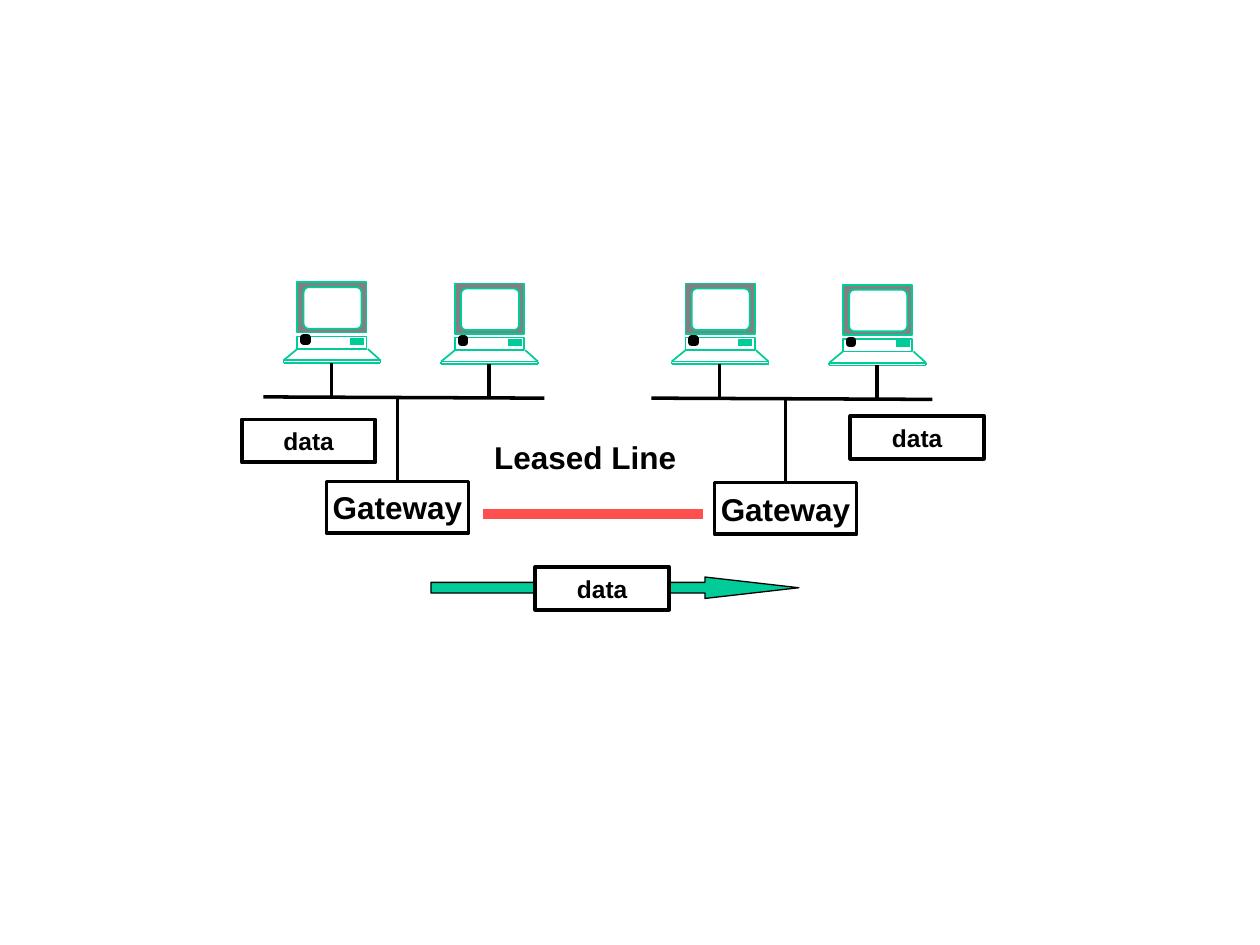
import pptx
import pptx.dml.color
import pptx.enum.shapes
import pptx.enum.text
import pptx.oxml
import pptx.oxml.ns
import pptx.util

COLORS = {"black": "000000", "white": "FFFFFF", "green": "00CC99",
          "gray": "808080", "red": "FF5050"}
SHAPE = pptx.enum.shapes.MSO_SHAPE

prs = pptx.Presentation()
prs.slide_width = pptx.util.Inches(10)
prs.slide_height = pptx.util.Inches(7.5)
s = prs.slides.add_slide(prs.slide_layouts[6])
COL = prs.slide_width / 10
ROW = prs.slide_height / 7.5


def add_box(shapes, kind, x, y, w, h, fill=None, line=None, width=1, text="", size=18):
    """Add a shape at a grid position; no fill or line colour means none is drawn."""
    sp = shapes.add_shape(kind, int(x * COL), int(y * ROW), int(w * COL), int(h * ROW))
    sp.shadow.inherit = False
    if fill:
        sp.fill.solid()
        sp.fill.fore_color.rgb = pptx.dml.color.RGBColor.from_string(COLORS[fill])
    else:
        sp.fill.background()
    if line:
        sp.line.color.rgb = pptx.dml.color.RGBColor.from_string(COLORS[line])
        sp.line.width = pptx.util.Pt(width)
    else:
        sp.line.fill.background()
    if text:
        tf = sp.text_frame
        tf.word_wrap = False
        tf.vertical_anchor = pptx.enum.text.MSO_ANCHOR.MIDDLE
        p = tf.paragraphs[0]
        p.alignment = pptx.enum.text.PP_ALIGN.CENTER
        r = p.add_run()
        r.text = text
        r.font.name = "Arial"
        r.font.size = pptx.util.Pt(size)
        r.font.bold = True
        r.font.color.rgb = pptx.dml.color.RGBColor.from_string(COLORS["black"])
    return sp


def add_line(shapes, x1, y1, x2, y2, color="black", width=2):
    cx = shapes.add_connector(pptx.enum.shapes.MSO_CONNECTOR.STRAIGHT,
                              int(x1 * COL), int(y1 * ROW), int(x2 * COL), int(y2 * ROW))
    cx.line.color.rgb = pptx.dml.color.RGBColor.from_string(COLORS[color])
    cx.line.width = pptx.util.Pt(width)
    sp_pr = cx._element.find(pptx.oxml.ns.qn("p:spPr"))
    sp_pr.append(pptx.oxml.parse_xml(
        "<a:effectLst %s/>" % pptx.oxml.ns.nsdecls("a")))
    return cx


# Keyboard edges, relative to the top left of the monitor
KEYBOARD = [
    (0, 0.53, -0.11, 0.62), (-0.11, 0.62, 0.66, 0.62), (-0.11, 0.64, 0.66, 0.64),
    (-0.11, 0.62, -0.11, 0.64), (0.56, 0.53, 0.66, 0.62), (0.66, 0.62, 0.66, 0.64),
]

# Two local networks, each with two computers on a bus and a gateway below
for left, top in [(2.36, 2.24), (5.44, 2.25)]:
    gateway = add_box(s.shapes, SHAPE.RECTANGLE, left + 0.23, top + 1.58, 1.13, 0.41,
                      "white", "black", 2, "Gateway")
    drop = add_line(s.shapes, left + 0.8, top + 0.92, left + 0.8, top + 1.58)
    drop.end_connect(gateway, 0)
    drop.begin_x = gateway.left + gateway.width // 2

    for x, y in [(left, top), (left + 1.25, top + 0.01)]:
        pc = s.shapes.add_group_shape().shapes
        add_box(pc, SHAPE.RECTANGLE, x, y, 0.55, 0.4, "gray", "green")
        screen = add_box(pc, SHAPE.ROUNDED_RECTANGLE, x + 0.05, y + 0.04, 0.46, 0.33,
                         "white", "green")
        screen.adjustments[0] = 0.125
        for x1, y1, x2, y2 in KEYBOARD:
            add_line(pc, x + x1, y + y1, x + x2, y + y2, "green", 1)
        add_box(pc, SHAPE.RECTANGLE, x, y + 0.43, 0.55, 0.1, None, "green")
        add_line(pc, x + 0.42, y + 0.47, x + 0.53, y + 0.47, "green", 4)
        add_box(pc, SHAPE.RECTANGLE, x + 0.05, y + 0.44, 0.03, 0.03, "black", "black", 4)
        add_line(s.shapes, x + 0.27, y + 0.64, x + 0.27, y + 0.91)

    add_line(s.shapes, left - 0.27, top + 0.91, left + 1.96, top + 0.92)

# Leased line between the gateways, and the data that crosses it
add_line(s.shapes, 3.83, 4.08, 5.58, 4.08, "red", 6)
add_box(s.shapes, SHAPE.RECTANGLE, 4.08, 3.42, 1.13, 0.41, "white", text="Leased Line")
arrow = add_box(s.shapes, SHAPE.RIGHT_ARROW, 3.42, 4.58, 2.92, 0.17, "green", "black", 0.75)
arrow.adjustments[0] = 0.5
arrow.adjustments[1] = 4.38
for x, y, fill in [(1.92, 3.33, None), (6.75, 3.3, None), (4.25, 4.5, "white")]:
    add_box(s.shapes, SHAPE.RECTANGLE, x, y, 1.06, 0.34, fill, "black", 2.25, "data", 14)

prs.save("out.pptx")
